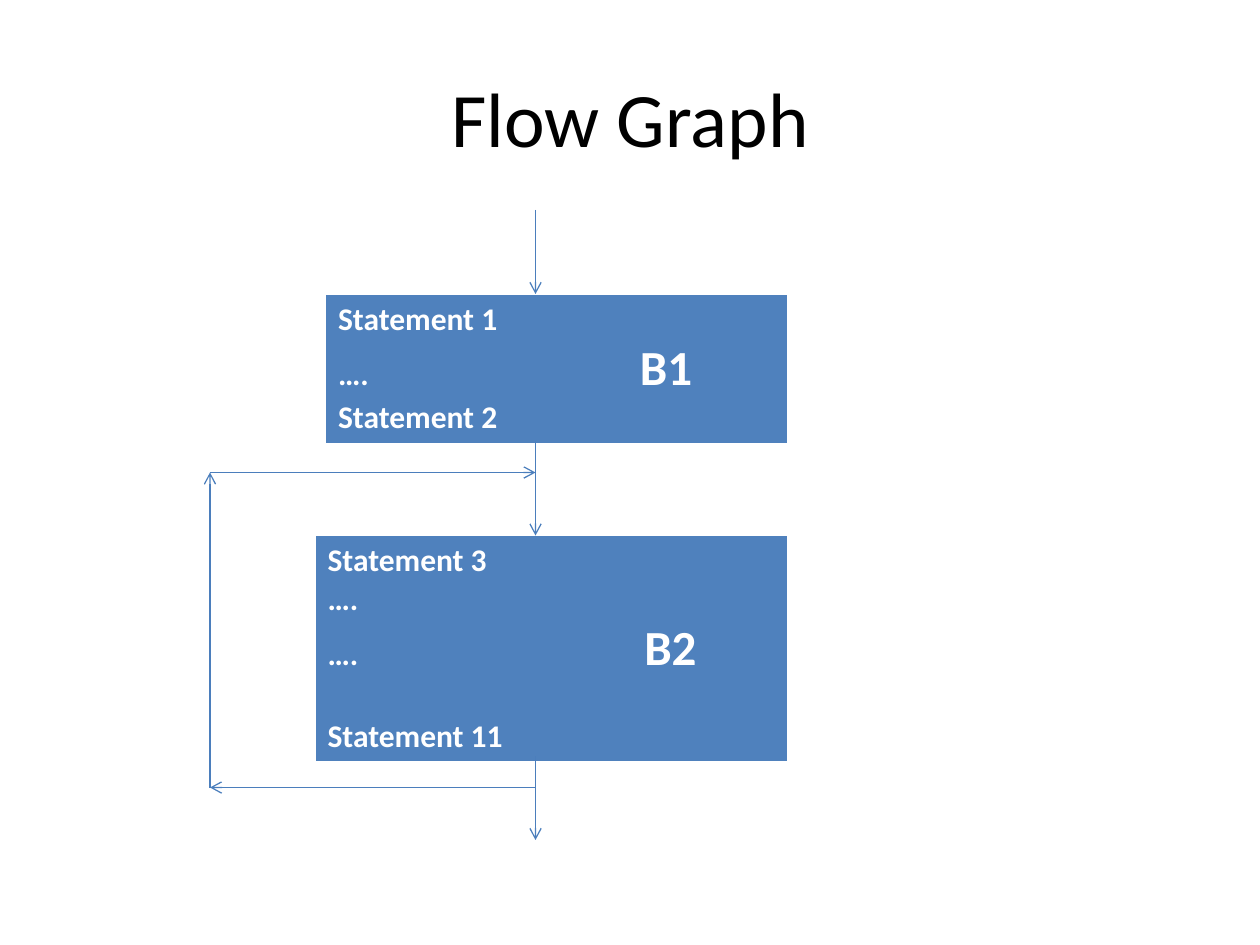
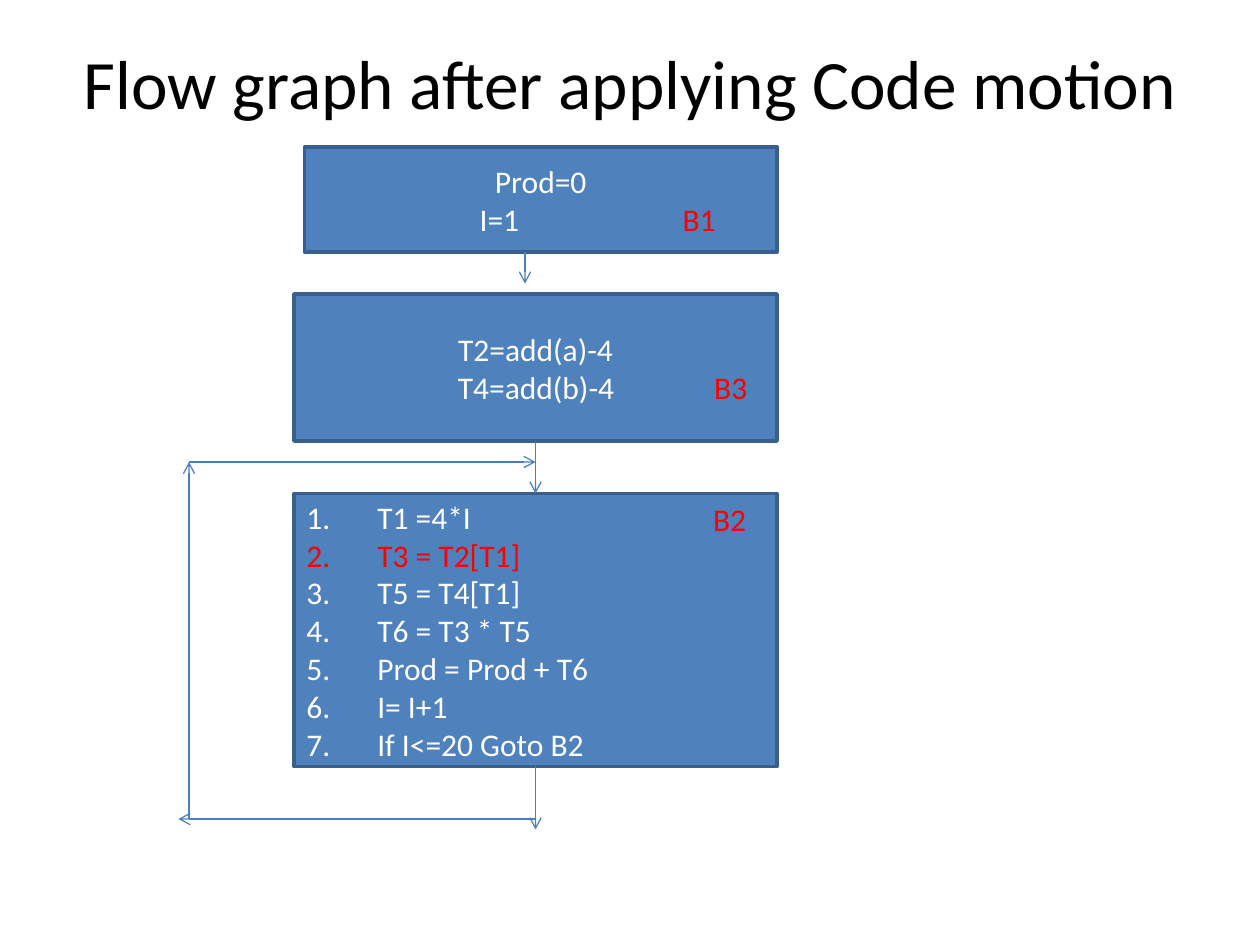
from dataclasses import dataclass

from lxml.etree import SubElement
from pptx import Presentation
from pptx.dml.color import RGBColor
from pptx.enum.shapes import MSO_CONNECTOR as CONN, MSO_SHAPE as SHAPE
from pptx.enum.text import MSO_ANCHOR as ANCHOR, MSO_AUTO_SIZE as AUTO, PP_ALIGN as ALIGN
from pptx.oxml.ns import qn
from pptx.util import Pt

COLORS = {"fill": "4F81BD", "edge": "3A5F8C", "arrow": "4B7EBC",
          "text": "FFFFFF", "mark": "FF0000", "title": "000000", "bg": "FFFFFF"}
FONT = "Calibri"
BODY = {"name": FONT}
HEAD = {**BODY, "bold": True}
LIST_INDENT = Pt(40.5)
AXIS = 306


@dataclass(frozen=True)
class Span:
    text: str
    color: str = "text"
    size: float = 18


@dataclass(frozen=True)
class Line:
    spans: tuple[Span, ...]
    align: ALIGN = ALIGN.LEFT
    stops: tuple[float, ...] = ()
    before: float = 0
    numbered: bool = False


@dataclass(frozen=True)
class Box:
    x: float
    y: float
    w: float
    h: float
    lines: tuple[Line, ...]

    def frame(self) -> tuple:
        return Pt(self.x), Pt(self.y), Pt(self.w), Pt(self.h)


def rgb(name: str) -> RGBColor:
    return RGBColor.from_string(COLORS[name])


def paint(fill, name: str) -> None:
    fill.solid()
    fill.fore_color.rgb = rgb(name)


def write(tf, lines: tuple[Line, ...], fmt: dict) -> None:
    for i, line in enumerate(lines):
        p = tf.paragraphs[0] if i == 0 else tf.add_paragraph()
        p.alignment = line.align
        if line.before:
            p.space_before = Pt(line.before)
        pPr = p._p.get_or_add_pPr()
        if line.numbered:
            pPr.set("marL", str(LIST_INDENT))
            pPr.set("indent", str(-LIST_INDENT))
            SubElement(pPr, qn("a:buFont"), typeface="+mj-lt")
            SubElement(pPr, qn("a:buAutoNum"), type="arabicPeriod")
        if line.stops:
            tabs = SubElement(pPr, qn("a:tabLst"))
            for stop in line.stops:
                SubElement(tabs, qn("a:tab"), pos=str(Pt(stop)), algn="l")
        for span in line.spans:
            r = p.add_run()
            r.text = span.text
            for key, value in {**fmt, "size": Pt(span.size)}.items():
                setattr(r.font, key, value)
            r.font.color.rgb = rgb(span.color)


def plain(text: str, **options) -> Line:
    return Line((Span(text),), **options)


def add_slide(prs, title: str, height: float, size: float):
    s = prs.slides.add_slide(prs.slide_layouts[5])
    paint(s.background.fill, "bg")
    sp = s.shapes.title
    geometry = {"left": Pt(36), "top": Pt(21.6), "width": Pt(648), "height": Pt(height)}
    for key, value in geometry.items():
        setattr(sp, key, value)
    tf = sp.text_frame
    for key, value in {"auto_size": AUTO.NONE, "word_wrap": True,
                       "vertical_anchor": ANCHOR.MIDDLE}.items():
        setattr(tf, key, value)
    write(tf, (Line((Span(title, "title", size),), ALIGN.CENTER),), BODY)
    return s


def add_block_table(s, box: Box) -> None:
    table = s.shapes.add_table(1, 1, *box.frame()).table
    table.horz_banding = False
    cell = table.cell(0, 0)
    paint(cell.fill, "fill")
    write(cell.text_frame, box.lines, HEAD)


def add_block(s, box: Box) -> None:
    sp = s.shapes.add_shape(SHAPE.RECTANGLE, *box.frame())
    sp.shadow.inherit = False
    paint(sp.fill, "fill")
    paint(sp.line.fill, "edge")
    sp.line.width = Pt(2)
    tf = sp.text_frame
    tf.word_wrap = True
    tf.vertical_anchor = ANCHOR.MIDDLE
    write(tf, box.lines, BODY)


def add_label(s, box: Box) -> None:
    tf = s.shapes.add_textbox(*box.frame()).text_frame
    tf.word_wrap = True
    for side in ("left", "top", "right", "bottom"):
        setattr(tf, f"margin_{side}", 0)
    write(tf, box.lines, BODY)


def add_arrow(s, x1: float, y1: float, x2: float, y2: float) -> None:
    c = s.shapes.add_connector(CONN.STRAIGHT, Pt(x1), Pt(y1), Pt(x2), Pt(y2))
    paint(c.line.fill, "arrow")
    c.line.width = Pt(0.75)
    spPr = c.element.spPr
    SubElement(spPr.find(qn("a:ln")), qn("a:tailEnd"), type="arrow")
    SubElement(spPr, qn("a:effectLst"))


def add_down(s, top: float, bottom: float, x: float = AXIS) -> None:
    add_arrow(s, x, top, x, bottom)


def add_loop(s, left: float, top: float, bottom: float, overshoot: float = 0) -> None:
    add_arrow(s, AXIS, bottom, left - overshoot, bottom)
    add_arrow(s, left, bottom, left, top)
    add_arrow(s, left, top, AXIS, top)


def build_flow_graph(prs) -> None:
    s = add_slide(prs, "Flow Graph", 90, 44)
    add_block_table(s, Box(186, 168, 264, 84, (
        plain("Statement 1"),
        Line((Span("….\t"), Span("B1", size=28)), stops=(172.5,)),
        plain("Statement 2"))))
    add_block_table(s, Box(180, 306, 270, 127.5, (
        plain("Statement 3"),
        plain("…."),
        Line((Span("….\t"), Span("B2", size=28)), stops=(181,)),
        plain("Statement 11", before=22))))
    for top, bottom in ((120, 168), (252, 306), (432, 480)):
        add_down(s, top, bottom)
    add_loop(s, 120, 270, 450)


def build_code_motion(prs) -> None:
    s = add_slide(prs, "Flow graph after applying Code motion", 50.4, 39.6)
    add_block(s, Box(174, 84, 270, 60, (
        plain("Prod=0", align=ALIGN.CENTER),
        Line((Span("\tI=1\t"), Span("B1", "mark")), stops=(93, 209)))))
    add_block(s, Box(168, 168, 276, 84, (
        plain("T2=add(a)-4", align=ALIGN.CENTER),
        Line((Span("\tT4=add(b)-4\t"), Span("B3", "mark")), stops=(86.5, 233)))))
    steps = ("T1 =4*I", "T3 = T2[T1]", "T5 = T4[T1]", "T6 = T3 * T5",
             "Prod = Prod + T6", "I= I+1", "If I<=20 Goto B2")
    add_block(s, Box(168, 282, 276, 156, tuple(
        Line((Span(step, "mark" if i == 1 else "text"),), numbered=True)
        for i, step in enumerate(steps))))
    add_label(s, Box(407.5, 285.5, 30, 22, (Line((Span("B2", "mark"),)),)))
    add_down(s, 144, 162, 300)
    for top, bottom in ((252, 282), (438, 474)):
        add_down(s, top, bottom)
    add_loop(s, 108, 264, 468, overshoot=6)


prs = Presentation()
prs.slide_width, prs.slide_height = Pt(720), Pt(540)
build_flow_graph(prs)
build_code_motion(prs)
prs.save("out.pptx")
